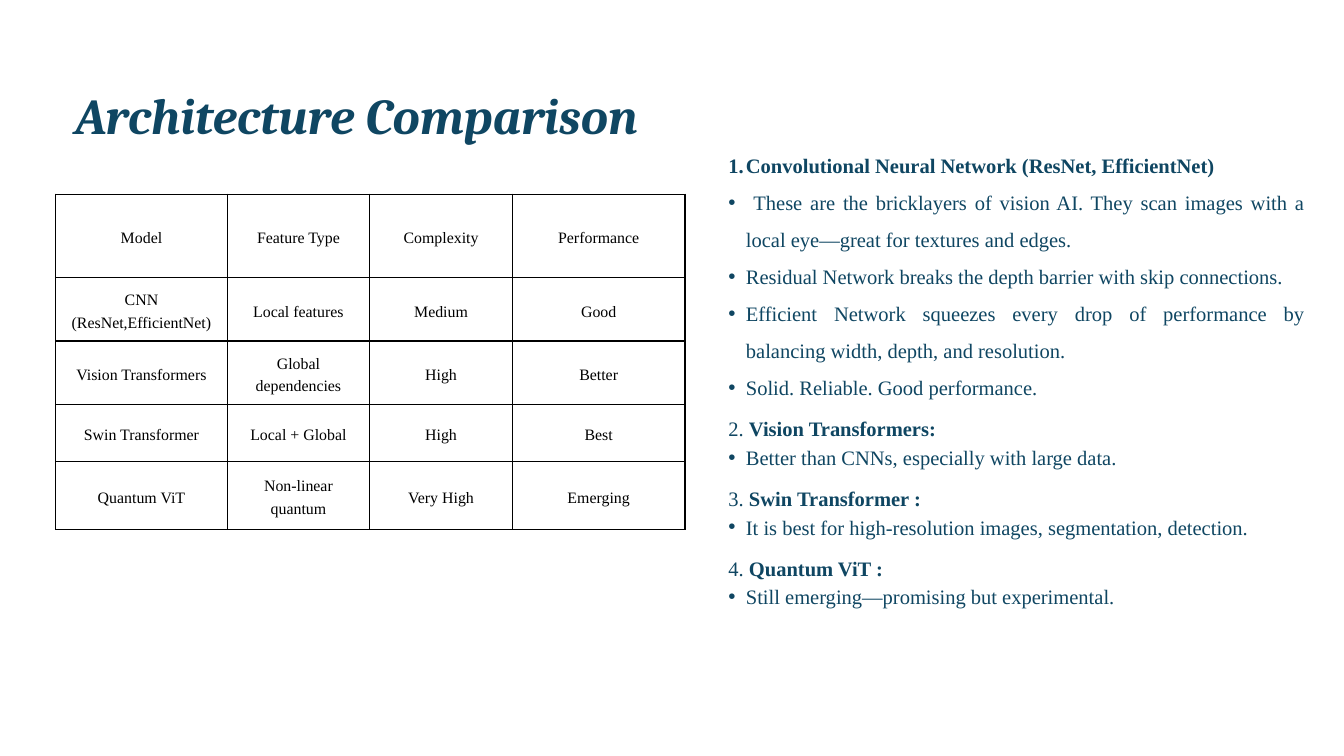
from lxml.etree import SubElement
from pptx import Presentation
from pptx.dml.color import RGBColor
from pptx.enum.text import MSO_ANCHOR, MSO_AUTO_SIZE, PP_ALIGN
from pptx.oxml import parse_xml
from pptx.oxml.ns import nsdecls, qn
from pptx.util import Pt

COLORS = {"navy": "0F4662", "black": "000000"}


def add_text(p, text, size=22, font="Times New Roman", color="navy", bold=False,
             italic=False, align=PP_ALIGN.LEFT, spacing=1.5):
    p.alignment = align
    p.line_spacing = spacing
    p.space_before = p.space_after = Pt(0)
    r = p.add_run()
    r.text = text
    r.font.size = Pt(size)
    r.font.name = font
    r.font.bold = bold
    r.font.italic = italic
    r.font.color.rgb = RGBColor.from_string(COLORS[color])


prs = Presentation()
prs.slide_width, prs.slide_height = Pt(1440), Pt(810)
s = prs.slides.add_slide(prs.slide_layouts[1])
title, body = s.placeholders

boxes = [(title, 80.6, 79.2, 1080.7, 80.6), (body, 761.8, 159.8, 635.8, 527)]
for sp, left, top, width, height in boxes:
    sp.left, sp.top, sp.width, sp.height = Pt(left), Pt(top), Pt(width), Pt(height)
    tf = sp.text_frame
    tf.word_wrap = True
    tf.auto_size = MSO_AUTO_SIZE.NONE
    tf.vertical_anchor = MSO_ANCHOR.TOP
    tf.margin_left = tf.margin_top = tf.margin_right = tf.margin_bottom = 0

add_text(title.text_frame.paragraphs[0], "Architecture Comparison", size=54,
         font="Cambria", bold=True, italic=True, spacing=Pt(75.6))

rows = [
    ["Model", "Feature Type", "Complexity", "Performance"],
    ["CNN\n(ResNet,EfficientNet)", "Local features", "Medium", "Good"],
    ["Vision Transformers", "Global dependencies", "High", "Better"],
    ["Swin Transformer", "Local + Global", "High", "Best"],
    ["Quantum ViT", "Non-linear quantum", "Very High", "Emerging"],
]
col_widths = [183.6, 152.8, 152.8, 185]
row_heights = [89.5, 67.8, 68, 61, 73]
table = s.shapes.add_table(len(rows), len(col_widths), Pt(59.8), Pt(208.1),
                           Pt(sum(col_widths)), Pt(sum(row_heights))).table
table.first_row = table.horz_banding = False
for col, width in zip(table.columns, col_widths):
    col.width = Pt(width)
for row, height, texts in zip(table.rows, row_heights, rows):
    row.height = Pt(height)
    for cell, text in zip(row.cells, texts):
        cell.fill.background()
        cell.vertical_anchor = MSO_ANCHOR.MIDDLE
        cell.margin_left = cell.margin_right = Pt(8)
        cell.margin_top = cell.margin_bottom = Pt(8)
        tf = cell.text_frame
        for i, line in enumerate(text.split("\n")):
            p = tf.add_paragraph() if i else tf.paragraphs[0]
            add_text(p, line, size=17, color="black", align=PP_ALIGN.CENTER,
                     spacing=Pt(23.8))
        for i, side in enumerate(["lnL", "lnR", "lnT", "lnB"]):
            cell._tc.get_or_add_tcPr().insert(i, parse_xml(
                f'<a:{side} {nsdecls("a")} w="{Pt(1.5)}"><a:solidFill>'
                f'<a:srgbClr val="{COLORS["black"]}"/></a:solidFill></a:{side}>'))

tight, loose = Pt(30.8), Pt(44)
items = [
    ("1.", "Convolutional Neural Network (ResNet, EfficientNet)", tight),
    ("•", " These are the bricklayers of vision AI. They scan images with a local "
          "eye—great for textures and edges.", 1.5),
    ("•", "Residual Network breaks the depth barrier with skip connections.", 1.5),
    ("•", "Efficient Network squeezes every drop of performance by balancing width, "
          "depth, and resolution.", 1.5),
    ("•", "Solid. Reliable. Good performance.", 1.5),
    ("2. ", "Vision Transformers:", loose),
    ("•", "Better than CNNs, especially with large data.", tight),
    ("3. ", "Swin Transformer :", loose),
    ("•", "It is best for high-resolution images, segmentation, detection.", tight),
    ("4. ", "Quantum ViT :", loose),
    ("•", "Still emerging—promising but experimental.", tight),
]
tf = body.text_frame
for i, (mark, text, spacing) in enumerate(items):
    p = tf.add_paragraph() if i else tf.paragraphs[0]
    heading = mark != "•"
    typed_number = spacing == loose
    if typed_number:
        add_text(p, mark, align=PP_ALIGN.JUSTIFY, spacing=spacing)
    add_text(p, text, bold=heading, align=PP_ALIGN.JUSTIFY, spacing=spacing)
    pPr = p._p.get_or_add_pPr()
    pPr.set("marL", str(Pt(18.7 if typed_number else 37.4)))
    pPr.set("indent", str(Pt(0 if typed_number else -18.7)))
    if typed_number:
        SubElement(pPr, qn("a:buNone"))
    elif heading:
        SubElement(pPr, qn("a:buAutoNum"), type="arabicPeriod")
    else:
        SubElement(pPr, qn("a:buFont"), typeface="Arial")
        SubElement(pPr, qn("a:buChar"), char=mark)

prs.save("out.pptx")
